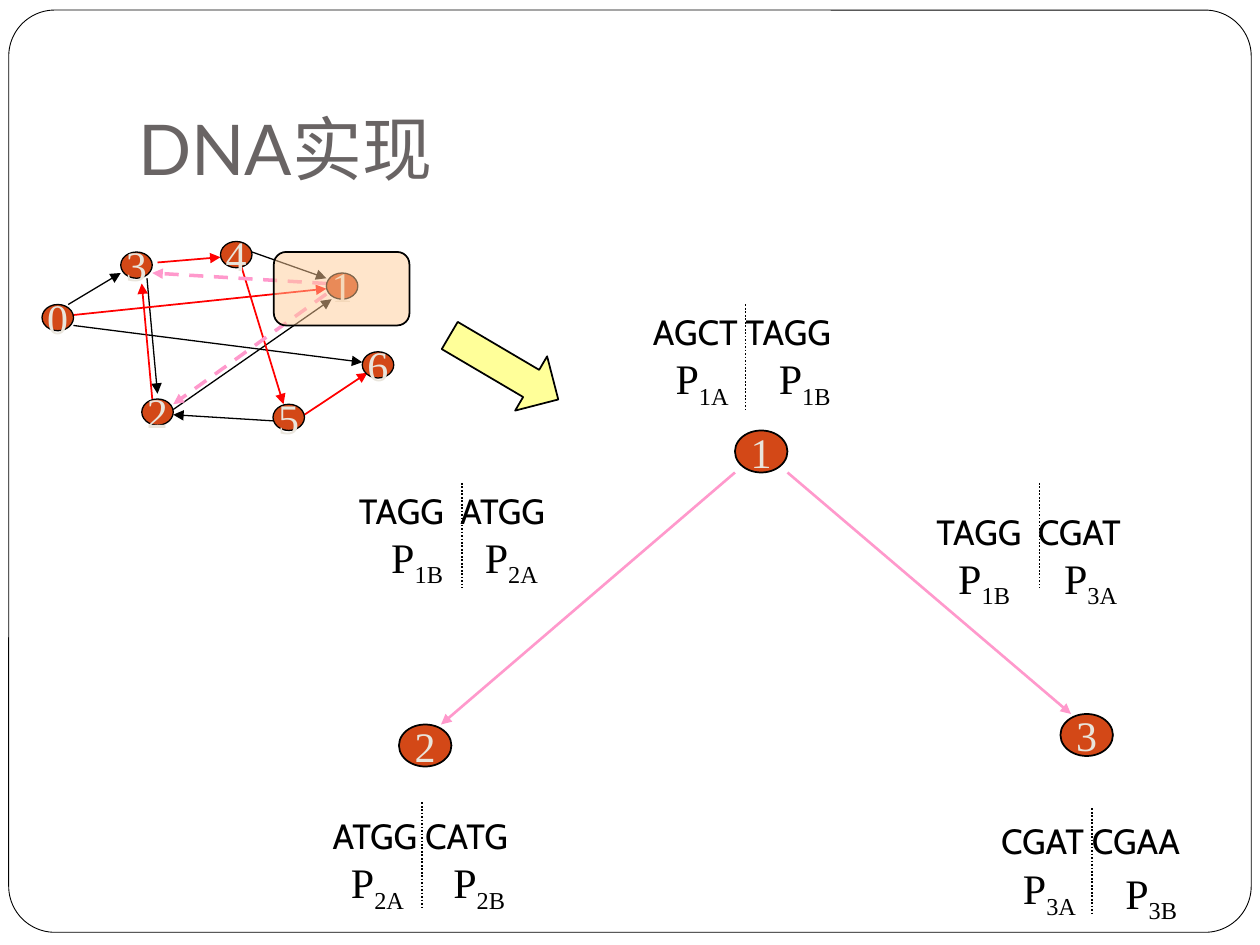
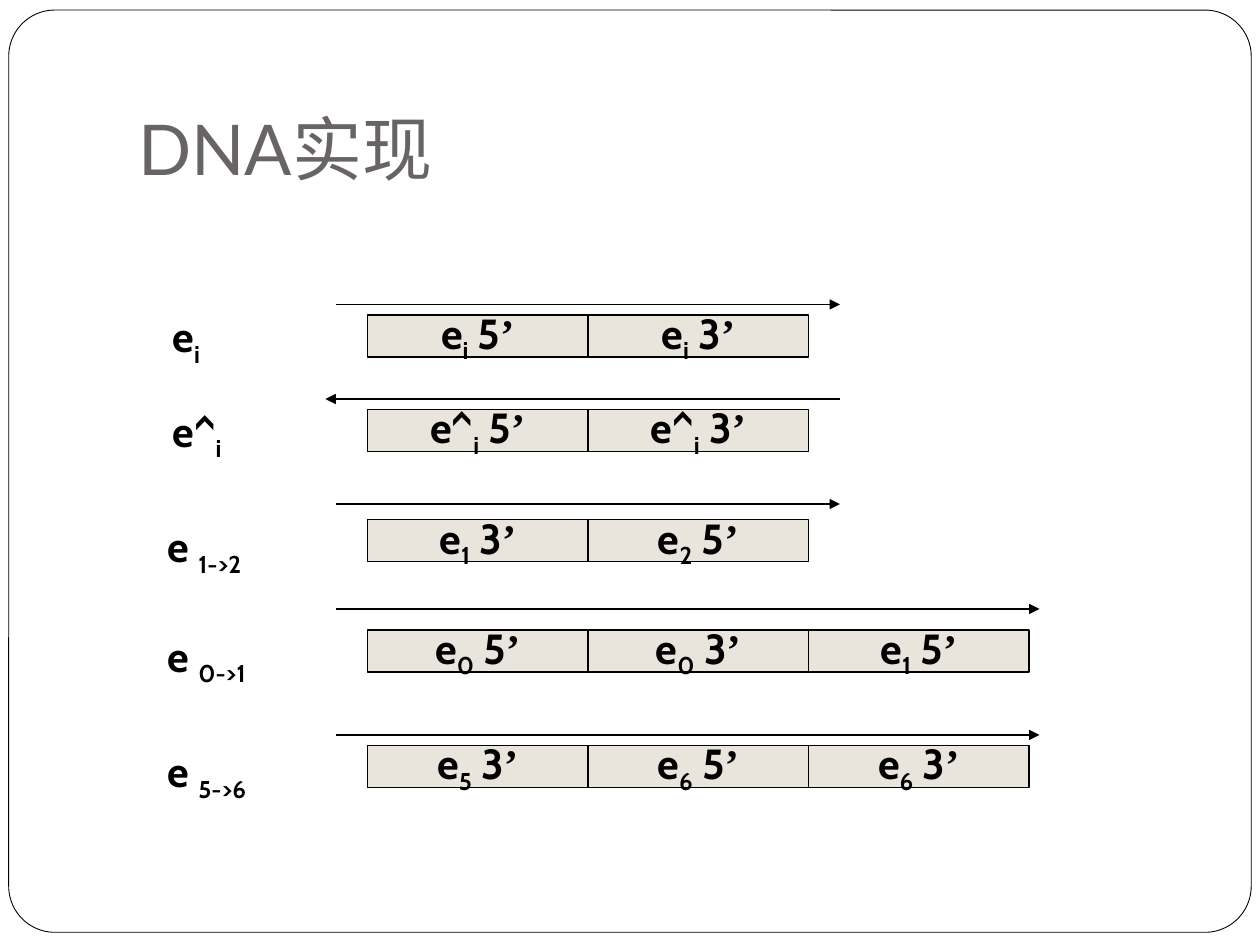
"""Builds two slides on encoding a directed graph in DNA strands."""
from dataclasses import dataclass

from lxml.etree import SubElement
from pptx import Presentation
from pptx.dml.color import RGBColor
from pptx.enum.dml import MSO_LINE as Dash
from pptx.enum.shapes import MSO_CONNECTOR as Link, MSO_SHAPE as Preset
from pptx.enum.text import MSO_ANCHOR as Anchor, PP_ALIGN as Align
from pptx.oxml.ns import qn
from pptx.util import Pt


@dataclass(frozen=True)
class Theme:
    ink: str = "000000"
    paper: str = "FFFFFF"
    title: str = "696464"
    node: str = "D34817"
    cream: str = "E9E5DC"
    red: str = "FF0000"
    pink: str = "FF99CC"
    highlight: str = "FFCC99"
    arrow: str = "FFFF99"
    sans: str = "Cabin"
    serif: str = "Times New Roman"
    title_font: str = "Lato"
    title_size: int = 40
    label_size: int = 24
    strand_size: int = 20


THEME = Theme()
TITLE = "DNA实现"

SMALL_NODES = {
    "0": (24, 174), "1": (186.5, 156), "2": (81, 228), "3": (69, 144),
    "4": (126, 138), "5": (156, 231), "6": (207, 201),
}
BLACK_EDGES = [
    ((39, 174), (69, 156)), ((144, 144), (186.5, 159)),
    ((84, 159), (90, 225)), ((42, 186), (207, 207)),
    ((99, 234), (189.5, 171)), ((156, 240.5), (99, 237)),
]
RED_EDGES = [
    ((90, 150), (126, 147)), ((42, 180), (186.5, 165)),
    ((87, 228), (81, 162)), ((138, 152.5), (162, 231)),
    ((174, 237), (210, 213)),
]
PINK_EDGES = [((186.5, 162), (87, 156)), ((186.5, 168), (99, 231))]

LARGE_NODES = {"1": (420, 246), "2": (228, 414), "3": (606, 408)}
LARGE_EDGES = [((420, 270), (252, 414)), ((450, 270), (612, 408))]

# Each strand: bases and place, two primers and places, top of the divider.
STRANDS = [
    ("AGCT TAGG", (366, 174), ("P_1A", (379, 198)), ("P_1B", (438, 198)), (426, 174)),
    ("ATGG CATG", (183, 462), ("P_2A", (193.5, 486)), ("P_2B", (252, 486)), (241, 458.5)),
    ("CGAT CGAA", (565, 465), ("P_3A", (577.5, 489.5)), ("P_3B", (636, 492)), (624, 462)),
    ("TAGG\tATGG", (198, 276), ("P_1B", (216.5, 300)), ("P_2A", (270, 300)), (264, 276)),
    ("TAGG\tCGAT", (528, 288), ("P_1B", (540.5, 312)), ("P_3A", (601, 312)), (594, 276)),
]
STRAND_WIDTH, STRAND_TAB, DIVIDER_HEIGHT = 127, 58, 60

OLIGOS = [
    ("e_i", (91.5, 174), 174, 180, ["e_i_ 5’", "e_i_ 3’"]),
    ("e^_i", (91.5, 228), 228, 234, ["e^_i_ 5’", "e^_i_ 3’"]),
    ("e _1->2", (88.5, 294), 288, 297, ["e_1_ 3’", "e_2_ 5’"]),
    ("e _0->1", (88.5, 356.5), 348, 360, ["e_0_ 5’", "e_0_ 3’", "e_1_ 5’"]),
    ("e _5->6", (88.5, 422.5), 420, 426, ["e_5_ 3’", "e_6_ 5’", "e_6_ 3’"]),
]
REVERSED_OLIGO = "e^_i"
CELL_LEFT, CELL_WIDTH, CELL_HEIGHT = 210, 126, 24
ARROW_LEFT, ARROW_LEFT_REVERSED = 192, 186
ARROW_RIGHT = {2: 480, 3: 594}


def color(code):
    return RGBColor.from_string(code)


def style(span, font, size, ink, bold=False):
    span.font.name, span.font.size, span.font.bold = font, Pt(size), bold
    span.font.color.rgb = color(ink)


def write_marked(para, text, font, bold=False):
    """Write text whose odd parts between underscores are subscripts."""
    for index, part in enumerate(text.split("_")):
        for piece in filter(None, part.replace("’", "_’").split("_")):
            span = para.add_run()
            span.text = piece
            style(span, THEME.serif if piece == "’" else font, THEME.label_size, THEME.ink, bold)
            if index % 2:
                span._r.get_or_add_rPr().set("baseline", "-25000")


def add_box(page, left, top, width, height):
    box = page.shapes.add_textbox(Pt(left), Pt(top), Pt(width), Pt(height))
    box.text_frame.word_wrap = True
    return box


def add_shape(page, preset, left, top, width, height, fill, weight=1):
    shape = page.shapes.add_shape(preset, Pt(left), Pt(top), Pt(width), Pt(height))
    shape.shadow.inherit = False
    shape.fill.solid()
    shape.fill.fore_color.rgb = color(fill)
    shape.line.color.rgb = color(THEME.ink)
    shape.line.width = Pt(weight)
    return shape


def center_text(shape):
    frame = shape.text_frame
    frame.word_wrap = False
    frame.vertical_anchor = Anchor.MIDDLE
    frame.paragraphs[0].alignment = Align.CENTER
    return frame.paragraphs[0]


def add_line(page, start, end, ink=THEME.ink, weight=1.0, dash=None, arrow=True):
    line = page.shapes.add_connector(Link.STRAIGHT, *map(Pt, start + end))
    line.line.color.rgb = color(ink)
    line.line.width = Pt(weight)
    if dash:
        line.line.dash_style = dash
    properties = line.element.spPr
    if arrow:
        SubElement(properties.find(qn("a:ln")), qn("a:tailEnd"), type="triangle")
    SubElement(properties, qn("a:effectLst"))


def add_node(page, name, place, size, weight):
    para = center_text(add_shape(page, Preset.OVAL, *place, *size, THEME.node, weight))
    span = para.add_run()
    span.text = name
    style(span, THEME.serif, THEME.label_size, THEME.cream)


def add_page(deck):
    page = deck.slides.add_slide(deck.slide_layouts[6])
    border = add_shape(page, Preset.ROUNDED_RECTANGLE, 5, 5.75, 710, 527, THEME.paper, 0.5)
    border.adjustments[0] = 0.05
    box = add_box(page, 72, 21.6, 612, 90)
    box.text_frame.vertical_anchor = Anchor.BOTTOM
    box.text_frame.text = TITLE
    style(box.text_frame.paragraphs[0].runs[0], THEME.title_font, THEME.title_size, THEME.title)
    return page


def add_strand(page, bases, place, left_primer, right_primer, divider):
    box = add_box(page, *place, STRAND_WIDTH, 31)
    para = box.text_frame.paragraphs[0]
    if "\t" in bases:
        tabs = SubElement(para._p.get_or_add_pPr(), qn("a:tabLst"))
        SubElement(tabs, qn("a:tab"), pos=str(Pt(STRAND_TAB)), algn="l")
    para.text = bases
    for span in para.runs:
        style(span, THEME.sans, THEME.strand_size, THEME.ink)
    for primer, spot in (left_primer, right_primer):
        label = add_box(page, *spot, 47, 36)
        write_marked(label.text_frame.paragraphs[0], primer, THEME.serif)
    x, y = divider
    add_line(page, divider, (x, y + DIVIDER_HEIGHT), dash=Dash.ROUND_DOT, arrow=False)


def build_graph_page(deck):
    page = add_page(deck)
    for name, place in LARGE_NODES.items():
        add_node(page, name, place, (30, 24), 1)
    for start, end in LARGE_EDGES:
        add_line(page, start, end, THEME.pink, 1.5)
    for strand in STRANDS:
        add_strand(page, *strand)
    for edges, ink, weight, dash in (
        (BLACK_EDGES, THEME.ink, 0.75, None),
        (RED_EDGES, THEME.red, 1, None),
        (PINK_EDGES, THEME.pink, 2, Dash.DASH),
    ):
        for start, end in edges:
            add_line(page, start, end, ink, weight, dash)
    for name, place in SMALL_NODES.items():
        add_node(page, name, place, (18, 15), 0.75)
    highlight = add_shape(page, Preset.ROUNDED_RECTANGLE, 156.5, 144, 77.5, 42, THEME.highlight)
    tint = highlight.element.spPr.find(qn("a:solidFill"))[0]
    SubElement(tint, qn("a:alpha"), val="50000")
    add_shape(page, Preset.RIGHT_ARROW, 252, 192, 72, 36, THEME.arrow).rotation = 30.5


def build_oligo_page(deck):
    page = add_page(deck)
    for name, place, arrow_top, cell_top, cells in OLIGOS:
        label = add_box(page, *place, 76, 36)
        write_marked(label.text_frame.paragraphs[0], name, THEME.sans, bold=True)
        for column, text in enumerate(cells):
            left = CELL_LEFT + column * CELL_WIDTH
            cell = add_shape(page, Preset.RECTANGLE, left, cell_top, CELL_WIDTH, CELL_HEIGHT,
                             THEME.cream, 0.75)
            write_marked(center_text(cell), text, THEME.sans, bold=True)
        right = (ARROW_RIGHT[len(cells)], arrow_top)
        if name == REVERSED_OLIGO:
            add_line(page, right, (ARROW_LEFT_REVERSED, arrow_top))
        else:
            add_line(page, (ARROW_LEFT, arrow_top), right)


def main():
    deck = Presentation()
    deck.slide_width, deck.slide_height = Pt(720), Pt(540)
    build_graph_page(deck)
    build_oligo_page(deck)
    deck.save("out.pptx")


if __name__ == "__main__":
    main()
